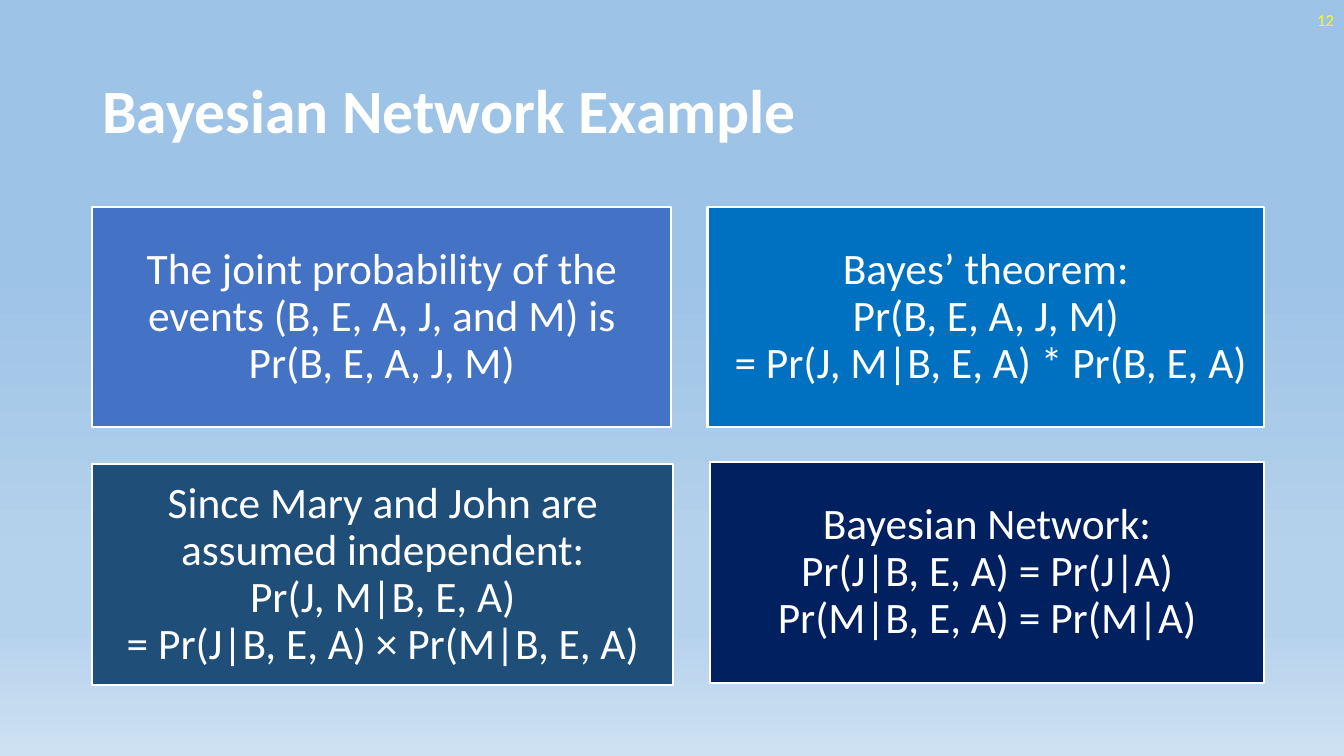
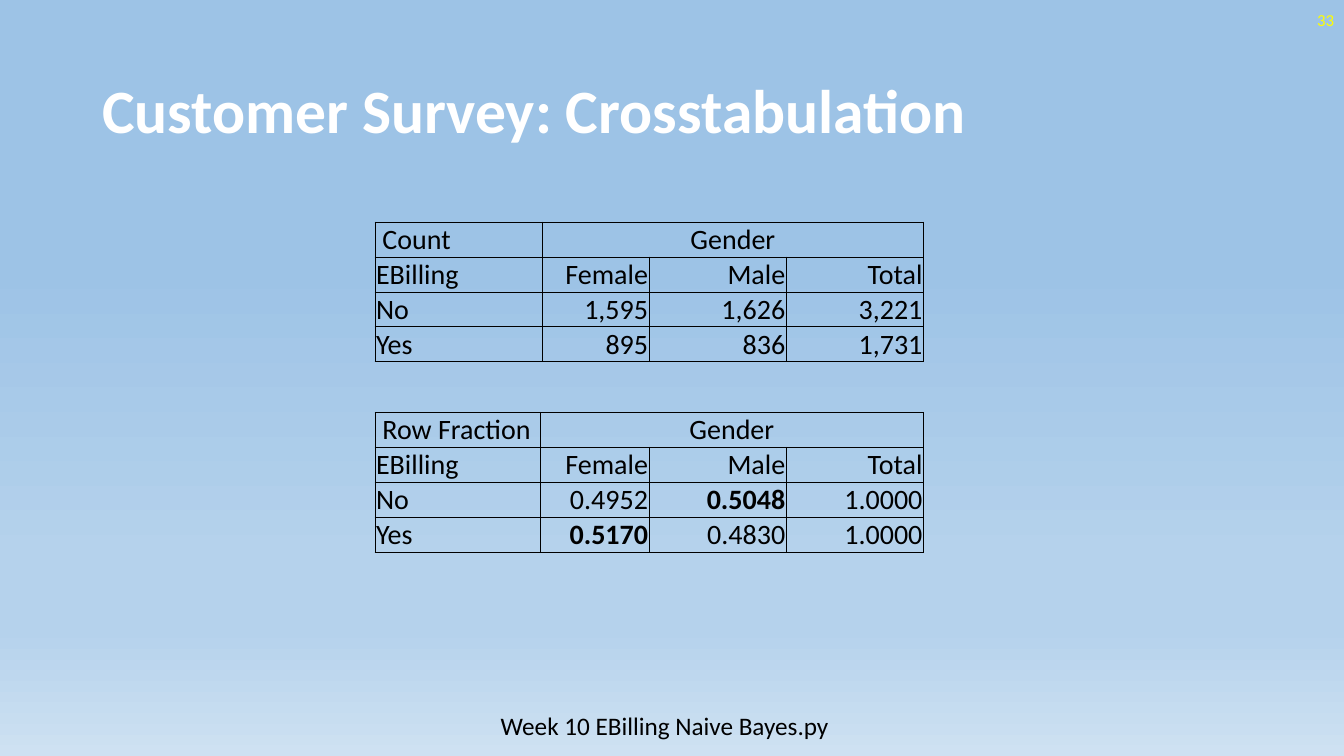
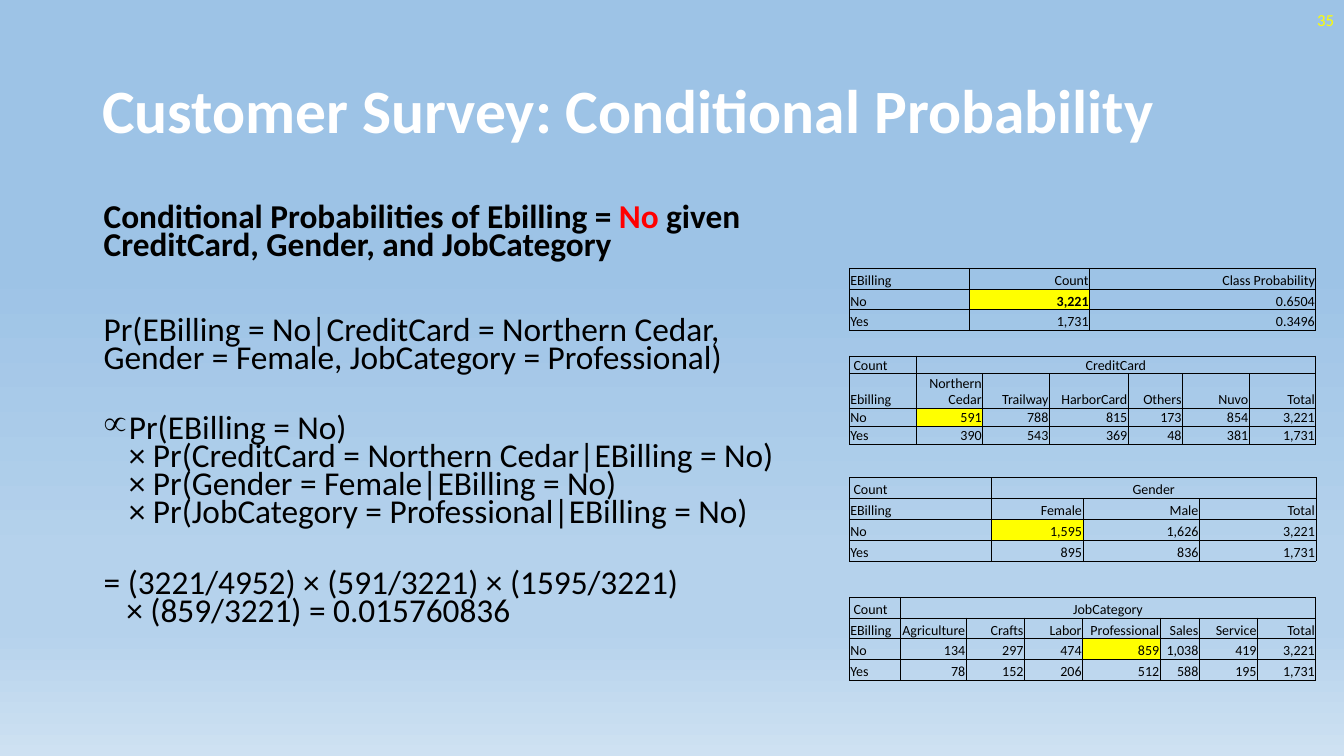
from copy import deepcopy

from pptx import Presentation
from pptx.dml.color import RGBColor
from pptx.enum.shapes import MSO_SHAPE
from pptx.enum.text import MSO_ANCHOR as ANCHOR, PP_ALIGN as ALIGN
from pptx.oxml import parse_xml
from pptx.oxml.ns import nsdecls, qn
from pptx.util import Pt

WHITE = RGBColor(0xFF, 0xFF, 0xFF)
BLACK = RGBColor(0x00, 0x00, 0x00)
YELLOW = RGBColor(0xFF, 0xFF, 0x00)
RED = RGBColor(0xFF, 0x00, 0x00)
SKY = RGBColor(0x9D, 0xC3, 0xE6)
PALE_SKY = RGBColor(0xB5, 0xD2, 0xEC)
MIST = RGBColor(0xCE, 0xE1, 0xF2)
ROYAL = RGBColor(0x44, 0x72, 0xC4)
AZURE = RGBColor(0x00, 0x70, 0xC0)
STEEL = RGBColor(0x1F, 0x4E, 0x79)
NAVY = RGBColor(0x00, 0x20, 0x60)
FONT = "Calibri"


def write(frame, text, size, color, align=ALIGN.LEFT, anchor=ANCHOR.MIDDLE, bold=False, spacing=1.0):
    frame.vertical_anchor = anchor
    paragraph = frame.paragraphs[0]
    paragraph.text = text
    paragraph.alignment = align
    paragraph.line_spacing = spacing
    for run in paragraph.runs:
        run.font.name = FONT
        run.font.size = Pt(size)
        run.font.bold = bold
        run.font.color.rgb = color


def add_crosstab(slide, left, top, widths, heights, lines, size, bold=(), highlight=()):
    rows = [line.split("|") for line in lines]
    table = slide.shapes.add_table(len(rows), len(widths), Pt(left), Pt(top),
                                   Pt(sum(widths)), Pt(sum(heights))).table
    table.first_row = table.horz_banding = False
    for column, width in zip(table.columns, widths):
        column.width = Pt(width)
    for row, height in zip(table.rows, heights):
        row.height = Pt(height)
    spanned = len(rows[0]) < len(widths)
    if spanned:
        table.cell(0, 1).merge(table.cell(0, len(widths) - 1))
    for r, row in enumerate(rows):
        for c in range(len(widths)):
            cell = table.cell(r, c)
            cell.margin_left = cell.margin_right = cell.margin_top = Pt(0.72)
            cell.margin_bottom = Pt(0)
            for side in "LRTB":
                cell._tc.get_or_add_tcPr().append(parse_xml(
                    f'<a:ln{side} {nsdecls("a")} w="{Pt(0.5)}"><a:solidFill>'
                    f'<a:srgbClr val="{BLACK}"/></a:solidFill></a:ln{side}>'))
            if (r, c) in highlight:
                cell.fill.solid()
                cell.fill.fore_color.rgb = YELLOW
            else:
                cell.fill.background()
            if c < len(row):
                align = ALIGN.LEFT if c == 0 else ALIGN.CENTER if spanned and r == 0 else ALIGN.RIGHT
                cell.vertical_anchor = ANCHOR.BOTTOM
                write(cell.text_frame, row[c], size, BLACK, align, ANCHOR.BOTTOM, (r, c) in bold)


prs = Presentation()
prs.slide_width, prs.slide_height = Pt(960), Pt(540)

backdrop = prs.slide_master.background.fill
backdrop.gradient()
backdrop.gradient_angle = 270
stop_list = next(prs.slide_master.element.iter(qn("a:gsLst")))
for stop in list(stop_list):
    stop_list.append(deepcopy(stop))
shades = [(0.35, SKY), (0.74, PALE_SKY), (0.83, PALE_SKY), (1.0, MIST)]
for stop, (position, shade) in zip(backdrop.gradient_stops, shades):
    stop.position = position
    stop.color.rgb = shade

slides = []
for title, number in [("Bayesian Network Example", "12"),
                      ("Customer Survey: Crosstabulation", "33"),
                      ("Customer Survey: Conditional Probability", "35")]:
    slide = prs.slides.add_slide(prs.slide_layouts[6])
    heading = slide.shapes.add_textbox(Pt(66), Pt(28.8), Pt(828), Pt(104.4)).text_frame
    heading.word_wrap = True
    write(heading, title, 44, WHITE, bold=True, spacing=0.9)
    page = slide.shapes.add_textbox(Pt(744), Pt(0), Pt(216), Pt(28.8)).text_frame
    page.word_wrap = True
    write(page, number, 12, YELLOW, ALIGN.RIGHT)
    slides.append(slide)
network, crosstabs, conditional = slides

cards = [
    (66, 147.6, 413.3, ROYAL, "The joint probability of the events (B, E, A, J, and M) is Pr(B, E, A, J, M)"),
    (505.4, 147.6, 397.4, AZURE, "Bayes’ theorem:\nPr(B, E, A, J, M)\n = Pr(J, M|B, E, A) * Pr(B, E, A)"),
    (66, 331.6, 414.7, STEEL,
     "Since Mary and John are assumed independent:\nPr(J, M|B, E, A)\n= Pr(J|B, E, A) × Pr(M|B, E, A)"),
    (507, 330, 396, NAVY, "Bayesian Network:\nPr(J|B, E, A) = Pr(J|A)\nPr(M|B, E, A) = Pr(M|A)"),
]
for left, top, width, color, statement in cards:
    card = network.shapes.add_shape(MSO_SHAPE.RECTANGLE, Pt(left), Pt(top), Pt(width), Pt(157.7))
    card.shadow.inherit = False
    card.fill.solid()
    card.fill.fore_color.rgb = color
    card.line.color.rgb = WHITE
    card.line.width = Pt(1.5)
    frame = card.text_frame
    frame.word_wrap = True
    frame.margin_left = frame.margin_right = frame.margin_top = frame.margin_bottom = Pt(9.4)
    write(frame, statement, 31, WHITE, ALIGN.CENTER, spacing=0.9)

gender_counts = [" Count|Gender", "EBilling|Female|Male|Total",
                 "No|1,595|1,626|3,221", "Yes|895|836|1,731"]
gender_fractions = [" Row Fraction|Gender", "EBilling|Female|Male|Total",
                    "No|0.4952|0.5048|1.0000", "Yes|0.5170|0.4830|1.0000"]
add_crosstab(crosstabs, 267.9, 158.5, [119.5, 76.3, 98, 98], [25] * 4, gender_counts, 20)
add_crosstab(crosstabs, 267.9, 294.5, [118, 77.8, 98, 98], [25] * 4, gender_fractions, 20,
             bold={(2, 2), (3, 1)})
script_name = crosstabs.shapes.add_textbox(Pt(350.6), Pt(504), Pt(251.3), Pt(28.8)).text_frame
script_name.word_wrap = False
write(script_name, "Week 10 EBilling Naive Bayes.py", 18, BLACK, anchor=ANCHOR.TOP)

derivation = conditional.shapes.add_textbox(Pt(67), Pt(144), Pt(523.4), Pt(342.7)).text_frame
derivation.word_wrap = True
HANG = 16.2
steps = [
    (["Conditional Probabilities of Ebilling = ", "No", " given CreditCard, Gender, and JobCategory"], 0, 0, None),
    (["Pr(EBilling = No|CreditCard = Northern Cedar, Gender = Female, JobCategory = Professional)"], 40.3, 0, None),
    (["Pr(EBilling = No)\n× Pr(CreditCard = Northern Cedar|EBilling = No)\n"
      "× Pr(Gender = Female|EBilling = No)\n× Pr(JobCategory = Professional|EBilling = No)"], 30.3, 18, "∝"),
    (["= (3221/4952) × (591/3221) × (1595/3221)\n× (859/3221) = 0.015760836"], 30.3, HANG, None),
]
for index, (parts, gap, hang, bullet) in enumerate(steps):
    step = derivation.paragraphs[0] if index == 0 else derivation.add_paragraph()
    if len(parts) == 1:
        step.text = parts[0]
    else:
        for part in parts:
            step.add_run().text = part
    step.line_spacing = 0.7
    step.space_before = Pt(gap)
    properties = step._p.get_or_add_pPr()
    if hang:
        properties.set("marL", str(Pt(hang)))
        properties.set("indent", str(-Pt(hang)))
    if bullet:
        properties.append(parse_xml(f'<a:buChar {nsdecls("a")} char="{bullet}"/>'))
    for run in step.runs:
        run.font.name = FONT
        run.font.size = Pt(23.8)
        run.font.bold = index == 0
        run.font.color.rgb = RED if run.text == "No" else BLACK

side_tables = [
    (191.5, [85.8, 85.8, 161.6], [14.9] * 3,
     ["EBilling|Count|Class Probability", "No|3,221|0.6504", "Yes|1,731|0.3496"], {(1, 1)}, {(1, 1)}),
    (254.2, [47.6, 47.6, 47.6, 56.4, 38.8, 47.6, 47.6], [12.6, 25, 12.6, 12.6],
     [" Count|CreditCard", "Ebilling|Northern Cedar|Trailway|HarborCard|Others|Nuvo|Total",
      "No|591|788|815|173|854|3,221", "Yes|390|543|369|48|381|1,731"], (), {(2, 1)}),
    (341.3, [101.6, 65.2, 83.2, 83.2], [14.9] * 4, gender_counts, (), {(2, 1)}),
    (426.5, [36.4, 47, 41.6, 41.6, 55.4, 28, 41.6, 41.6], [14.9] * 4,
     [" Count|JobCategory", "EBilling|Agriculture|Crafts|Labor|Professional|Sales|Service|Total",
      "No|134|297|474|859|1,038|419|3,221", "Yes|78|152|206|512|588|195|1,731"], (), {(2, 4)}),
]
for top, widths, heights, lines, bold, highlight in side_tables:
    add_crosstab(conditional, 606.7, top, widths, heights, lines, 10, bold, highlight)

prs.save("out.pptx")
